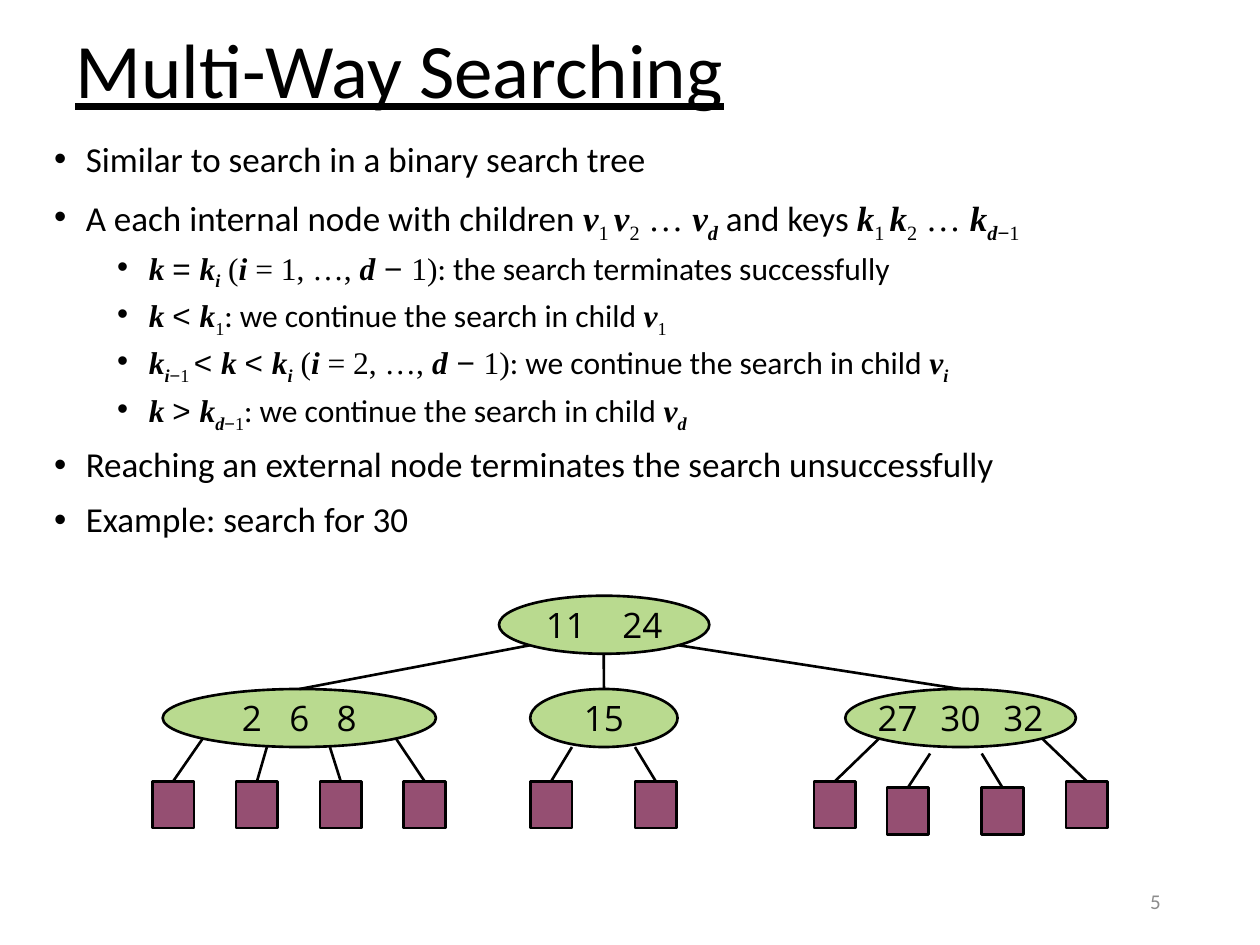
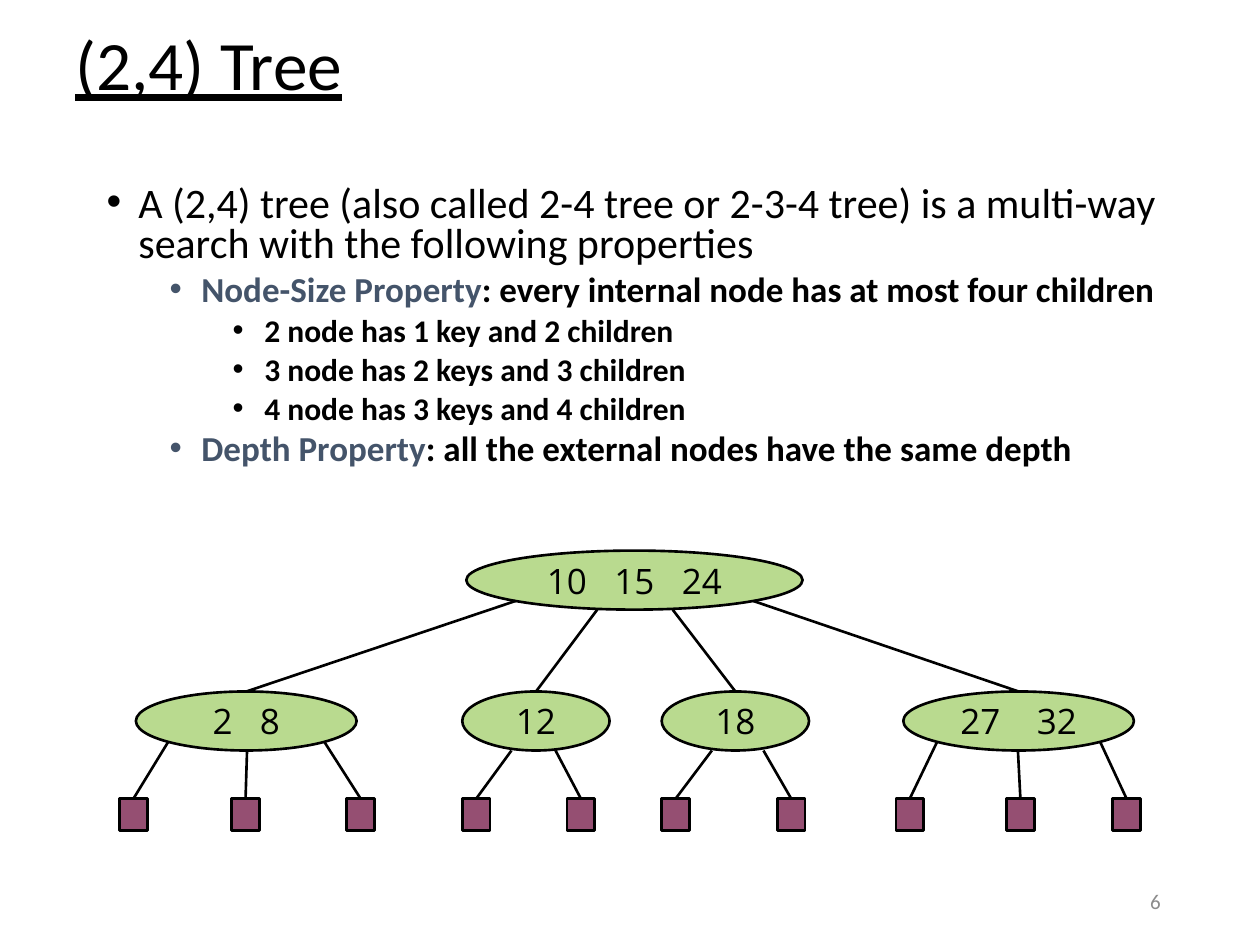
import pptx
import pptx.util
import pptx.dml.color
import pptx.enum.shapes
import pptx.enum.text
import pptx.oxml
import pptx.oxml.ns

Cm, Pt = pptx.util.Cm, pptx.util.Pt
SHAPE = pptx.enum.shapes.MSO_SHAPE
ALIGN = pptx.enum.text.PP_ALIGN
MIDDLE = pptx.enum.text.MSO_ANCHOR.MIDDLE
TOP = pptx.enum.text.MSO_ANCHOR.TOP

BLACK, GREY, SLATE = "000000", "8C8C8C", "44546A"
GREEN, PLUM = "B9DA8F", "954F72"
SANS, SERIF, SIGN, KEY = "Calibri", "Times New Roman", "Arial", "Open Sans"

# Run styles: each text piece starts with one of these letters and a colon
STYLES = {
    "c": {"name": SANS},
    "b": {"name": SANS, "bold": True},
    "h": {"name": SANS, "bold": True, "color": SLATE},
    "v": {"name": SERIF, "bold": True, "italic": True},
    "d": {"name": SERIF, "bold": True, "italic": True, "sub": True},
    "t": {"name": SERIF},
    "s": {"name": SERIF, "sub": True},
    "a": {"name": SIGN},
    "m": {"name": SIGN, "sub": True},
}
LEFT, RIGHT = "left", "right"


def paint(target, tone):
    """Give a font colour, or a fill or line already solid, its hex tone."""
    target.rgb = pptx.dml.color.RGBColor.from_string(tone)


class Deck:
    def __init__(self):
        self.file = pptx.Presentation()
        self.file.slide_width, self.file.slide_height = Cm(25.4), Cm(19.05)
        self.slide = None

    def page(self, title, size, height, number):
        """Start a slide with its title and number."""
        self.slide = self.file.slides.add_slide(self.file.slide_layouts[6])
        line = self.box(1.27, 0.43, 22.86, height, MIDDLE).paragraphs[0]
        line.line_spacing = 0.9
        self.run(line, title, name=SANS, size=Pt(size), underline=True)
        line = self.box(17.93, 17.65, 5.72, 1.02, MIDDLE).paragraphs[0]
        line.alignment = ALIGN.RIGHT
        self.run(line, str(number), name=SANS, size=Pt(12), color=GREY)

    def box(self, left, top, width, height, anchor=TOP):
        frame = self.slide.shapes.add_textbox(
            Cm(left), Cm(top), Cm(width), Cm(height)).text_frame
        frame.word_wrap = True
        frame.vertical_anchor = anchor
        return frame

    def run(self, line, text, color=BLACK, sub=False, **form):
        run = line.add_run()
        run.text = text
        for name, value in form.items():
            setattr(run.font, name, value)
        paint(run.font.color, color)
        if sub:
            run._r.get_or_add_rPr().set("baseline", "-25000")
        return run

    def list(self, place, lines, sizes, spacing):
        """Write bulleted lines, each a level and pieces split by bars."""
        frame = self.box(*place)
        for index, (level, text) in enumerate(lines):
            line = frame.add_paragraph() if index else frame.paragraphs[0]
            line.level = level
            line.line_spacing = spacing
            line.space_before = Pt(5 if level else 10)
            self.bullet(line, 0.64 + 1.27 * level)
            for piece in text.split("|"):
                style, _, words = piece.partition(":")
                self.run(line, words, size=Pt(sizes[level]), **STYLES[style])

    def bullet(self, line, indent):
        props = line._p.get_or_add_pPr()
        props.set("marL", str(Cm(indent)))
        props.set("indent", str(Cm(-0.64)))
        space = pptx.oxml.ns.nsdecls("a")
        for tag in ('buFont %s typeface="Arial"', 'buChar %s char="•"'):
            props.append(pptx.oxml.parse_xml(f"<a:{tag % space}/>"))

    def shape(self, kind, left, top, width, height, tone):
        shape = self.slide.shapes.add_shape(
            kind, Cm(left), Cm(top), Cm(width), Cm(height))
        shape.shadow.inherit = False
        shape.fill.solid()
        paint(shape.fill.fore_color, tone)
        paint(shape.line.color, BLACK)
        shape.line.width = Pt(1.5)
        return shape

    def node(self, left, top, width, height, keys, gap=10.4):
        """Draw an ellipse of keys, adding gap points to each space."""
        shape = self.shape(SHAPE.OVAL, left, top, width, height, GREEN)
        frame = shape.text_frame
        frame.word_wrap = False
        frame.vertical_anchor = MIDDLE
        line = frame.paragraphs[0]
        line.alignment = ALIGN.CENTER
        form = {"name": KEY, "size": Pt(20)}
        for index, key in enumerate(keys.split()):
            if index:
                blank = self.run(line, " ", **form)
                blank._r.get_or_add_rPr().set("spc", str(round(gap * 100)))
            self.run(line, key, **form)
        return shape

    def link(self, node, foot, child, drop=0):
        """Join a node's side, or its bottom at x = foot, to a child's top."""
        if foot in (LEFT, RIGHT):
            side = -1 if foot == LEFT else 1
            x = node.left + round(node.width * (0.5 + side * 0.3535))
            y = node.top + round(node.height * 0.8535)
        else:
            x, y = Cm(foot), node.top + node.height + Cm(drop)
        line = self.slide.shapes.add_connector(
            pptx.enum.shapes.MSO_CONNECTOR.STRAIGHT,
            x, y, child.left + child.width // 2, child.top)
        paint(line.line.color, BLACK)
        line.line.width = Pt(1.5)
        space = pptx.oxml.ns.nsdecls("a")
        line._element.spPr.append(
            pptx.oxml.parse_xml(f"<a:effectLst {space}/>"))

    def tree(self, tops, tall, leaf, root, kids):
        """Draw three rows; a kid is foot, left, width, keys, gap, leaves.

        A leaf is its left, its foot and how far it drops below the row.
        """
        left, width, keys, gap = root
        crown = self.node(left, tops[0], width, tall, keys, gap)
        for foot, left, width, keys, gap, leaves in kids:
            node = self.node(left, tops[1], width, tall, keys, gap)
            self.link(crown, foot, node)
            for x, base, drop in leaves:
                square = self.shape(
                    SHAPE.RECTANGLE, x, tops[2] + drop, *leaf, PLUM)
                self.link(node, base, square, drop)


def search(deck):
    deck.page("Multi-Way Searching", 44, 2.11, 5)
    lines = [
        (0, "c:Similar to search in a binary search tree"),
        (0, "c:A each internal node with children |v:v|s:1 |v:v|s:2|t: … "
            "|v:v|d:d|c: and keys |v:k|s:1 |v:k|s:2|t: … |v:k|d:d|m:−|s:1"),
        (1, "v:k |a:= |v:k|d:i|t: (|v:i|t: = 1, …, |v:d|a: − |t:1)"
            "|c:: the search terminates successfully"),
        (1, "v:k |a:< |v:k|s:1|c:: we continue the search in child |v:v|s:1"),
        (1, "v:k|d:i|m:−|s:1 |a:< |v:k |a:< |v:k|d:i|t: (|v:i|t: = 2, …, "
            "|v:d|a: − |t:1)|c:: we continue the search in child |v:v|d:i"),
        (1, "v:k |a:> |v:k|d:d|m:−|s:1"
            "|c:: we continue the search in child |v:v|d:d"),
        (0, "c:Reaching an external node terminates the search "
            "unsuccessfully"),
        (0, "c:Example: search for 30"),
    ]
    deck.list((0.84, 2.74, 23.93, 8.26), lines, (20, 18), 0.9)
    feet = (LEFT, 5.38, 6.65, RIGHT)
    low = 0.13
    kids = [
        (LEFT, 3.28, 5.51, "2 6 8", 10.4,
         [(3.07 + 1.69 * i, foot, 0) for i, foot in enumerate(feet)]),
        (12.17, 10.69, 2.97, "15", 0, [(10.69, 11.53, 0), (12.8, 12.8, 0)]),
        (RIGHT, 17.04, 4.65, "27 30 32", 7.8,
         [(16.41, LEFT, 0), (17.88, 18.75, low),
          (19.79, 19.79, low), (21.49, RIGHT, 0)]),
    ]
    deck.tree((12.01, 13.89, 15.75), 1.17, (0.84, 0.94),
              (10.06, 4.24, "11 24", 15.6), kids)


def balance(deck):
    deck.page("(2,4) Tree", 39.6, 1.88, 6)
    lines = [
        (0, "c:A (2,4) tree (also called 2-4 tree or 2-3-4 tree) is a "
            "multi-way search with the following properties"),
        (1, "h:Node-Size Property"
            "|b:: every internal node has at most four children"),
        (2, "b:2 node has 1 key and 2 children"),
        (2, "b:3 node has 2 keys and 3 children"),
        (2, "b:4 node has 3 keys and 4 children"),
        (1, "h:Depth Property"
            "|b:: all the external nodes have the same depth"),
    ]
    deck.list((1.9, 3.63, 22.23, 6.17), lines, (24, 20, 18), 0.8)
    kids = [
        (LEFT, 2.74, 4.45, "2 8", 10.4,
         [(2.41, LEFT, 0), (4.67, 4.98, 0), (6.99, RIGHT, 0)]),
        (12.04, 9.32, 2.97, "12", 0, [(9.32, 10.31, 0), (11.43, 11.2, 0)]),
        (13.56, 13.34, 2.97, "18", 0, [(13.34, 14.35, 0), (15.67, 15.39, 0)]),
        (RIGHT, 18.21, 4.65, "27 32", 15.6,
         [(18.06, LEFT, 0), (20.29, 20.52, 0), (22.43, RIGHT, 0)]),
    ]
    deck.tree((11.1, 13.94, 16.1), 1.19, (0.56, 0.64),
              (9.4, 6.78, "10 15 24", 10.4), kids)


def main():
    deck = Deck()
    search(deck)
    balance(deck)
    deck.file.save("out.pptx")


if __name__ == "__main__":
    main()
